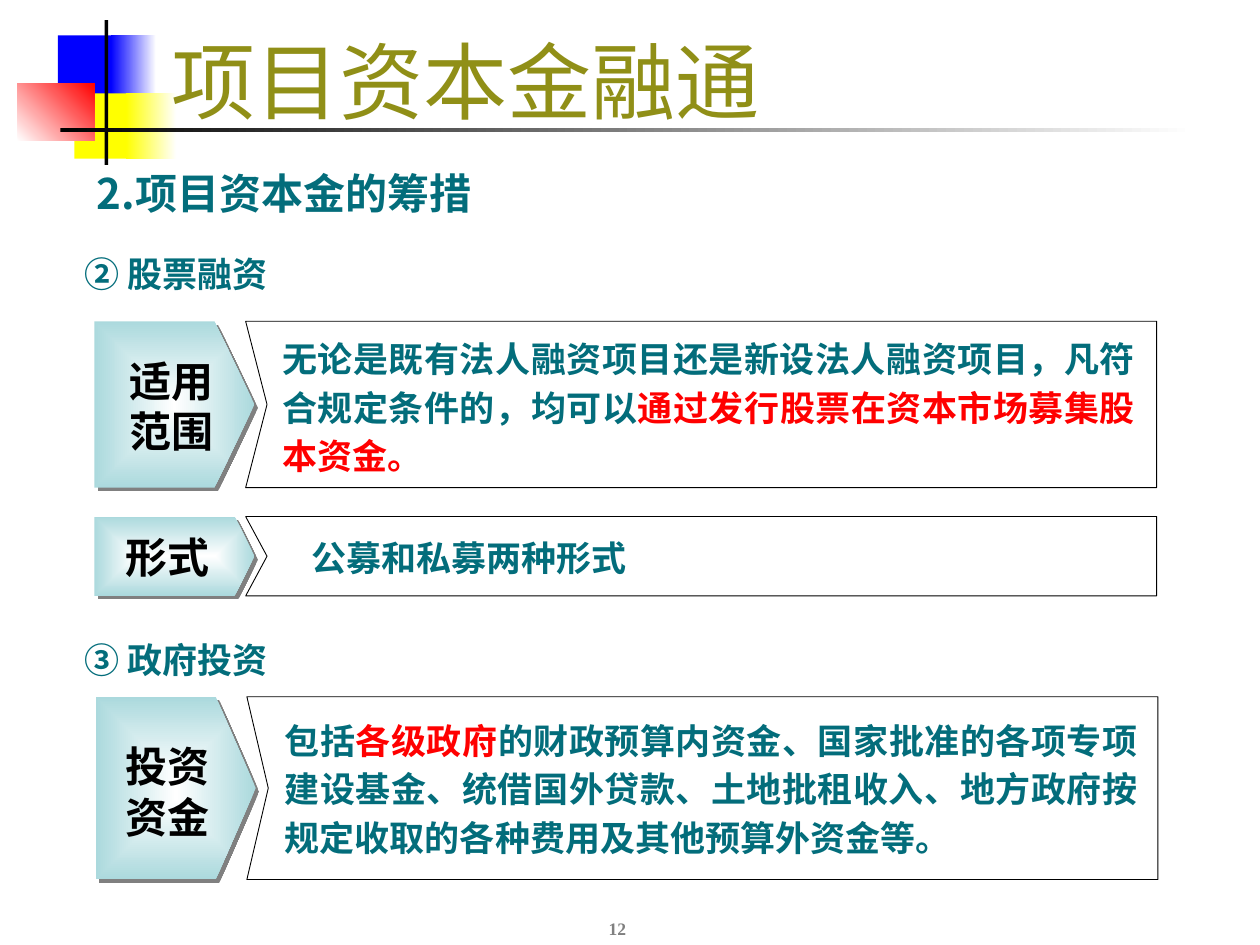
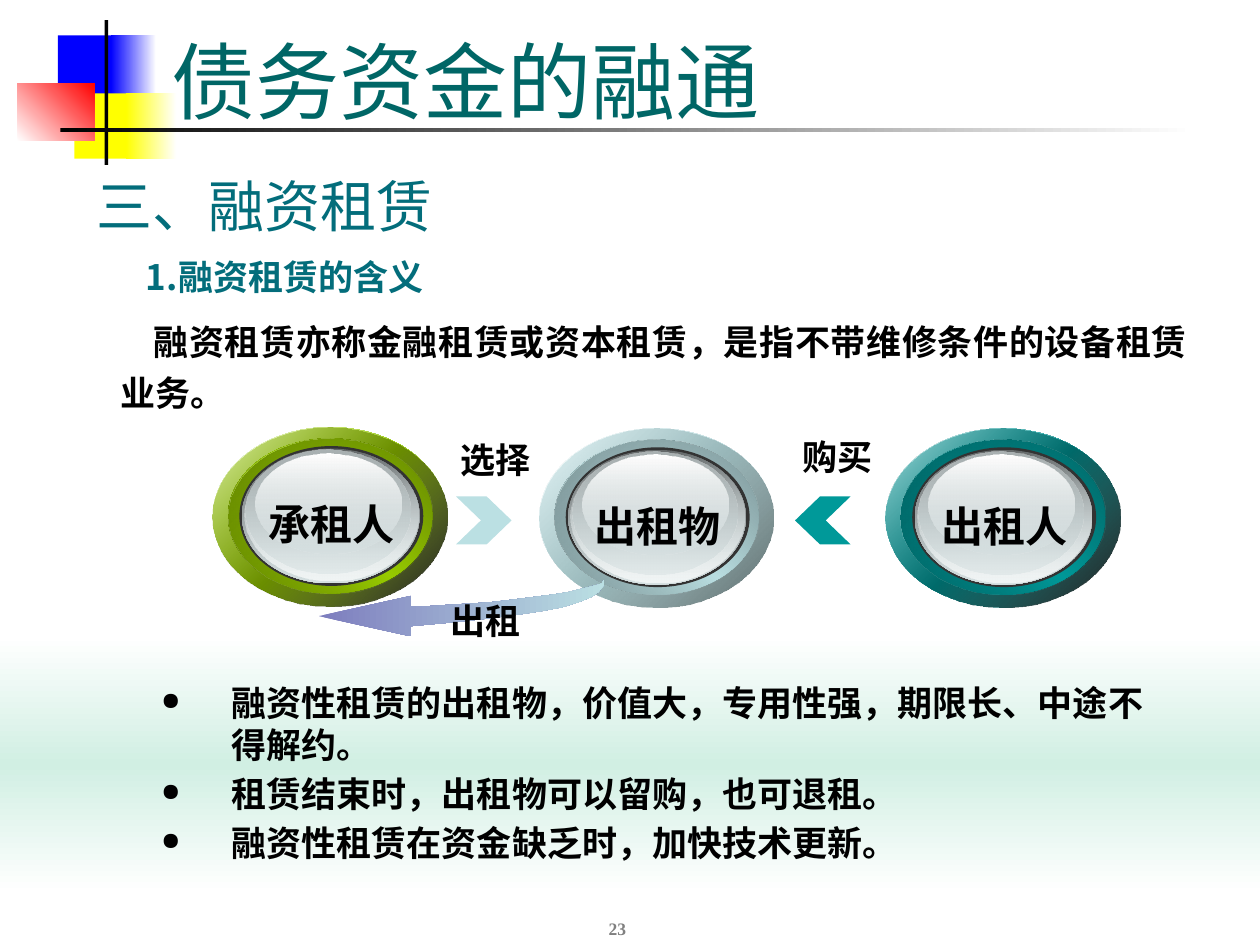
from dataclasses import dataclass
from typing import NamedTuple, Optional, Sequence, Union

from pptx import Presentation, oxml, util as u
from pptx.dml.color import RGBColor
from pptx.enum import shapes as kinds, text as t
from pptx.oxml import ns

COLORS = {
    "black": "000000", "white": "FFFFFF", "blue": "0000FF", "yellow": "FFFF00",
    "red": "FF0000", "gray": "808080", "teal": "036D7B", "olive": "908F17",
    "pine": "006666", "ice": "ABD9DD", "mint": "D1EFE3", "rim": "333333",
    "lime": "99CC00", "lime edge": "536E00", "lime shade": "618200",
    "sky": "BBE0E3", "sky edge": "65797B", "sky shade": "778E90", "sky dark": "576869",
    "sea": "009999", "sea edge": "005353", "sea shade": "006161",
    "steel": "636869", "silver": "D6E1E2", "pearl": "F1F5F5", "ash": "AAB2B3",
    "violet": "7D7DBE",
}
CJK = "Noto Sans CJK SC"
SERIF = "Times New Roman"
SHAPE = kinds.MSO_SHAPE
ALIGN = t.PP_ALIGN
ANCHOR = t.MSO_ANCHOR


class Box(NamedTuple):
    left: float
    top: float
    width: float
    height: float

    def emu(self) -> list[u.Length]:
        return [u.Inches(side) for side in self]


class Stop(NamedTuple):
    at: int
    color: str
    opacity: int = 100


class Gradient(NamedTuple):
    stops: Sequence[Stop]
    angle: Optional[int] = 0


Fill = Union[str, Gradient]


@dataclass
class Style:
    size: float = 20
    color: str = "black"
    font: str = CJK
    bold: bool = True
    align: Optional[ALIGN] = None
    anchor: ANCHOR = ANCHOR.TOP
    spacing: Optional[float] = None
    before: float = 0
    margins: tuple[float, float] = (0.1, 0.05)
    left: float = 0
    first: float = 0
    bullet: bool = False
    wrap: bool = True
    grow: bool = True


@dataclass
class Topic:
    label: str
    tag: Box
    label_at: Box
    body_at: Box
    body: Sequence[tuple[str, str]]
    style: Style


@dataclass
class Ring:
    label: str
    left: float
    top: float
    color: str
    dark: Stop


def blend(start: str, end: str, angle: Optional[int] = 0, start_opacity: int = 100,
          end_opacity: int = 100) -> Gradient:
    return Gradient((Stop(0, start, start_opacity), Stop(100, end, end_opacity)), angle)


def band(edge: str, middle: str, angle: int) -> Gradient:
    return Gradient((Stop(0, edge), Stop(50, middle), Stop(100, edge)), angle)


def rgb(name: str) -> RGBColor:
    return RGBColor.from_string(COLORS[name])


def paint(shape, fill: Optional[Fill]) -> None:
    shape.shadow.inherit = False
    shape.line.fill.background()
    if isinstance(fill, str):
        shape.fill.solid()
        shape.fill.fore_color.rgb = rgb(fill)
        return
    shape.fill.background()
    if fill is None:
        return
    stops = "".join(
        f'<a:gs pos="{s.at * 1000}"><a:srgbClr val="{COLORS[s.color]}">'
        f'<a:alpha val="{s.opacity * 1000}"/></a:srgbClr></a:gs>' for s in fill.stops)
    if fill.angle is None:
        course = ('<a:path path="shape"><a:fillToRect l="50000" t="50000" '
                  'r="50000" b="50000"/></a:path>')
    else:
        course = f'<a:lin ang="{fill.angle * 60000}" scaled="1"/>'
    properties = shape._element.spPr
    properties.replace(properties.find(ns.qn("a:noFill")), oxml.parse_xml(
        f'<a:gradFill {ns.nsdecls("a")} rotWithShape="1"><a:gsLst>{stops}</a:gsLst>'
        f'{course}</a:gradFill>'))


def draw(slide, kind: SHAPE, box: Box, fill: Fill, adjust: Optional[float] = None):
    shape = slide.shapes.add_shape(kind, *box.emu())
    paint(shape, fill)
    if adjust is not None:
        shape.adjustments[0] = adjust
    return shape


def outline(slide, points: Sequence[tuple[float, float]], fill: Optional[Fill]):
    corners = [(u.Inches(x), u.Inches(y)) for x, y in points]
    builder = slide.shapes.build_freeform(*corners[0], scale=1.0)
    builder.add_line_segments(corners[1:], close=True)
    shape = builder.convert_to_shape()
    paint(shape, fill)
    return shape


def drop_shadow(shape) -> None:
    effects = shape._element.spPr.find(ns.qn("a:effectLst"))
    effects.append(oxml.parse_xml(
        f'<a:outerShdw {ns.nsdecls("a")} dist="{u.Pt(2.8)}" dir="2700000" algn="ctr" '
        f'rotWithShape="0"><a:srgbClr val="{COLORS["gray"]}"/></a:outerShdw>'))


def format_paragraph(paragraph, style: Style, space_before: float) -> None:
    paragraph.alignment = style.align
    paragraph.line_spacing = style.spacing
    paragraph.space_before = u.Pt(space_before)
    properties = paragraph._p.get_or_add_pPr()
    properties.set("marL", str(u.Inches(style.left)))
    properties.set("indent", str(u.Inches(style.first)))
    if style.bullet:
        for mark in (f'buClr {ns.nsdecls("a")}><a:srgbClr val="{COLORS["black"]}"/></a:buClr',
                     f'buSzPct {ns.nsdecls("a")} val="70000"/',
                     f'buChar {ns.nsdecls("a")} char="●"/'):
            properties.append(oxml.parse_xml(f"<a:{mark}>"))
    font = paragraph.font
    font.size = u.Pt(style.size)
    font.bold = style.bold
    font.name = style.font
    if len(paragraph.runs) == 1:
        font.color.rgb = rgb(style.color)
    font._element.append(oxml.parse_xml(
        f'<a:ea {ns.nsdecls("a")} typeface="{CJK}"/>'))


def write(slide, box: Box, paragraphs: Union[str, Sequence], style: Style) -> None:
    frame = slide.shapes.add_textbox(*box.emu()).text_frame
    frame.word_wrap = style.wrap
    frame.auto_size = (t.MSO_AUTO_SIZE.SHAPE_TO_FIT_TEXT if style.grow
                       else t.MSO_AUTO_SIZE.NONE)
    frame.vertical_anchor = style.anchor
    frame.margin_left = frame.margin_right = u.Inches(style.margins[0])
    frame.margin_top = frame.margin_bottom = u.Inches(style.margins[1])
    for index, content in enumerate([paragraphs] if isinstance(paragraphs, str) else paragraphs):
        paragraph = frame.paragraphs[0] if index == 0 else frame.add_paragraph()
        pieces = [(content, style.color)] if isinstance(content, str) else content
        for words, color in pieces:
            run = paragraph.add_run()
            run.text = words
            if len(pieces) > 1:
                run.font.color.rgb = rgb(color)
        format_paragraph(paragraph, style, style.before if index else 0)


EMBLEM: list[tuple[Box, Fill]] = [
    (Box(0.46, 0.28, 0.48, 0.52), "blue"),
    (Box(0.88, 0.28, 0.36, 0.52), blend("blue", "white")),
    (Box(0.59, 0.74, 0.46, 0.52), "yellow"),
    (Box(1, 0.74, 0.4, 0.52), blend("yellow", "white")),
    (Box(0.14, 0.66, 0.61, 0.46), blend("white", "red", 315)),
    (Box(0.83, 0.16, 0.03, 1.15), "black"),
    (Box(0.48, 1.02, 9, 0.03), blend("black", "white")),
]


def start_slide(deck, title: str, title_color: str, number: str):
    slide = deck.slides.add_slide(deck.slide_layouts[6])
    for box, fill in EMBLEM:
        draw(slide, SHAPE.RECTANGLE, box, fill)
    write(slide, Box(3.86, 7, 2.08, 0.5), number,
          Style(10, "gray", SERIF, align=ALIGN.CENTER, anchor=ANCHOR.BOTTOM, grow=False))
    write(slide, Box(1.26, 0.16, 8.52, 0.92), title,
          Style(48, title_color, SERIF, bold=False, anchor=ANCHOR.BOTTOM, grow=False))
    return slide


BODY = Style(color="teal", font=SERIF, align=ALIGN.JUSTIFY, anchor=ANCHOR.MIDDLE,
             spacing=1.15, margins=(0, 0))
TOPICS = [
    Topic("适用范围", Box(0.75, 2.55, 1.27, 1.32), Box(1.03, 2.82, 0.83, 0.8),
          Box(2.24, 2.63, 6.77, 1.15),
          [("无论是既有法人融资项目还是新设法人融资项目，凡符合规定条件的，均可以", "teal"),
           ("通过发行股票在资本市场募集股本资金。", "red")], BODY),
    Topic("形式", Box(0.75, 4.1, 1.27, 0.63), Box(1, 4.22, 0.83, 0.4),
          Box(2.09, 4.26, 7.16, 0.33), [("公募和私募两种形式", "teal")],
          Style(color="teal", font=SERIF, anchor=ANCHOR.MIDDLE, margins=(0, 0), first=0.38)),
    Topic("投资资金", Box(0.76, 5.53, 1.27, 1.45), Box(1, 5.88, 0.83, 0.8),
          Box(2.26, 5.66, 6.77, 1.15),
          [("包括", "teal"), ("各级政府", "red"),
           ("的财政预算内资金、国家批准的各项专项建设基金、统借国外贷款、土地批租收入、"
            "地方政府按规定收取的各种费用及其他预算外资金等。", "teal")], BODY),
]


def draw_topic(slide, topic: Topic) -> None:
    drop_shadow(draw(slide, SHAPE.PENTAGON, topic.tag, blend("white", "ice", None), 0.25))
    left, top, _, height = topic.tag
    notch, right, bottom = left + 1.2, left + 8.43, top + height
    panel = outline(slide, [(right, top), (notch, top), (notch + 0.17, top + height / 2),
                            (notch, bottom), (right, bottom)], None)
    panel.line.color.rgb = rgb("black")
    panel.line.width = u.Pt(0.5)
    write(slide, topic.body_at, [topic.body], topic.style)
    write(slide, topic.label_at, topic.label, Style(24, margins=(0, 0)))


def equity_slide(deck) -> None:
    slide = start_slide(deck, "项目资本金融通", "olive", "12")
    for top, heading in ((1.99, "② 股票融资"), (5.06, "③ 政府投资")):
        write(slide, Box(0.51, top, 2.95, 0.4), heading,
              Style(color="teal", spacing=0.9, left=0.06))
    for topic in TOPICS:
        draw_topic(slide, topic)
    write(slide, Box(0.67, 1.28, 5.57, 0.5), "2.项目资本金的筹措",
          Style(24, "teal", anchor=ANCHOR.MIDDLE))


RINGS = [
    Ring("承租人", 1.69, 3.39, "lime", Stop(100, "black", 90)),
    Ring("出租物", 4.28, 3.4, "sky", Stop(100, "sky dark")),
    Ring("出租人", 7.03, 3.4, "sea", Stop(100, "black", 90)),
]
ARROW = [
    (4.8, 4.6), (4.79, 4.65), (4.75, 4.7), (4.69, 4.74), (4.59, 4.78), (4.46, 4.82),
    (4.3, 4.85), (4.1, 4.88), (3.87, 4.91), (3.59, 4.94), (3.26, 4.97), (3.26, 5.05),
    (2.53, 4.89), (3.26, 4.73), (3.26, 4.81), (3.41, 4.81), (3.56, 4.8), (3.73, 4.79),
    (3.89, 4.78), (4.06, 4.76), (4.22, 4.74), (4.38, 4.72), (4.51, 4.7), (4.63, 4.67),
    (4.71, 4.65), (4.78, 4.63), (4.79, 4.6),
]


def draw_ring(slide, ring: Ring) -> None:
    color, edge, shade = ring.color, f"{ring.color} edge", f"{ring.color} shade"
    outer, inner = Box(0, 0, 1.86, 1.42), Box(0.12, 0.09, 1.62, 1.23)
    layers: list[tuple[Box, Fill]] = [
        (outer, band("white", color, 45)),
        (outer, Gradient((Stop(0, color, 32), ring.dark), 45)),
        (inner, band(edge, color, 315)),
        (inner, blend(shade, color, 45, end_opacity=0)),
        (Box(0.21, 0.15, 1.46, 1.11), "rim"),
        (Box(0.23, 0.17, 1.41, 1.07), blend("steel", "silver", 90)),
        (Box(0.25, 0.17, 1.38, 1.05), blend("silver", "pearl", 90, start_opacity=0)),
        (Box(0.26, 0.18, 1.31, 0.98), blend("ash", "silver", 90, end_opacity=48)),
        (Box(0.34, 0.21, 1.16, 0.79), blend("white", "silver", 90, end_opacity=38)),
    ]
    for box, fill in layers:
        draw(slide, SHAPE.OVAL,
             Box(ring.left + box.left, ring.top + box.top, box.width, box.height), fill)
    write(slide, Box(ring.left + 0.34, ring.top + 0.52, 1.2, 0.5), ring.label,
          Style(24, font="Arial", align=ALIGN.CENTER, anchor=ANCHOR.MIDDLE, wrap=False))


def leasing_slide(deck) -> None:
    slide = start_slide(deck, "债务资金的融通", "pine", "23")
    draw(slide, SHAPE.RECTANGLE, Box(0, 5.04, 10, 2.05), band("white", "mint", 90))
    write(slide, Box(1.18, 5.36, 8.19, 1.57),
          ["融资性租赁的出租物，价值大，专用性强，期限长、中途不得解约。",
           "租赁结束时，出租物可以留购，也可退租。",
           "融资性租赁在资金缺乏时，加快技术更新。"],
          Style(before=4, left=0.56, first=-0.56, bullet=True))
    for ring in RINGS:
        draw_ring(slide, ring)
    action = Style(font=SERIF, align=ALIGN.CENTER, anchor=ANCHOR.MIDDLE, wrap=False, grow=False)
    write(slide, Box(3.4, 3.47, 1.06, 0.35), "选择", action)
    write(slide, Box(6.14, 3.45, 1.02, 0.35), "购买", action)
    for left, color, turn in ((3.62, "sky", 0), (6.31, "sea", 180)):
        draw(slide, SHAPE.CHEVRON, Box(left, 3.94, 0.44, 0.38), color, 0.52).rotation = turn
    outline(slide, ARROW, blend("violet", "sky"))
    write(slide, Box(3.48, 4.75, 0.76, 0.4), "出租", Style(spacing=0.9, wrap=False))
    write(slide, Box(0.67, 1.31, 4.42, 0.63), "三、融资租赁", Style(32, "teal", bold=False))
    write(slide, Box(1.06, 2.02, 2.99, 0.47), "1.融资租赁的含义",
          Style(color="teal", spacing=0.9, grow=False))
    write(slide, Box(0.86, 2.43, 8.66, 0.9),
          "融资租赁亦称金融租赁或资本租赁，是指不带维修条件的设备租赁业务。",
          Style(align=ALIGN.JUSTIFY, spacing=1.2, first=0.26))


def main() -> None:
    deck = Presentation()
    deck.slide_width, deck.slide_height = u.Inches(10), u.Inches(7.5)
    equity_slide(deck)
    leasing_slide(deck)
    deck.save("out.pptx")


if __name__ == "__main__":
    main()
